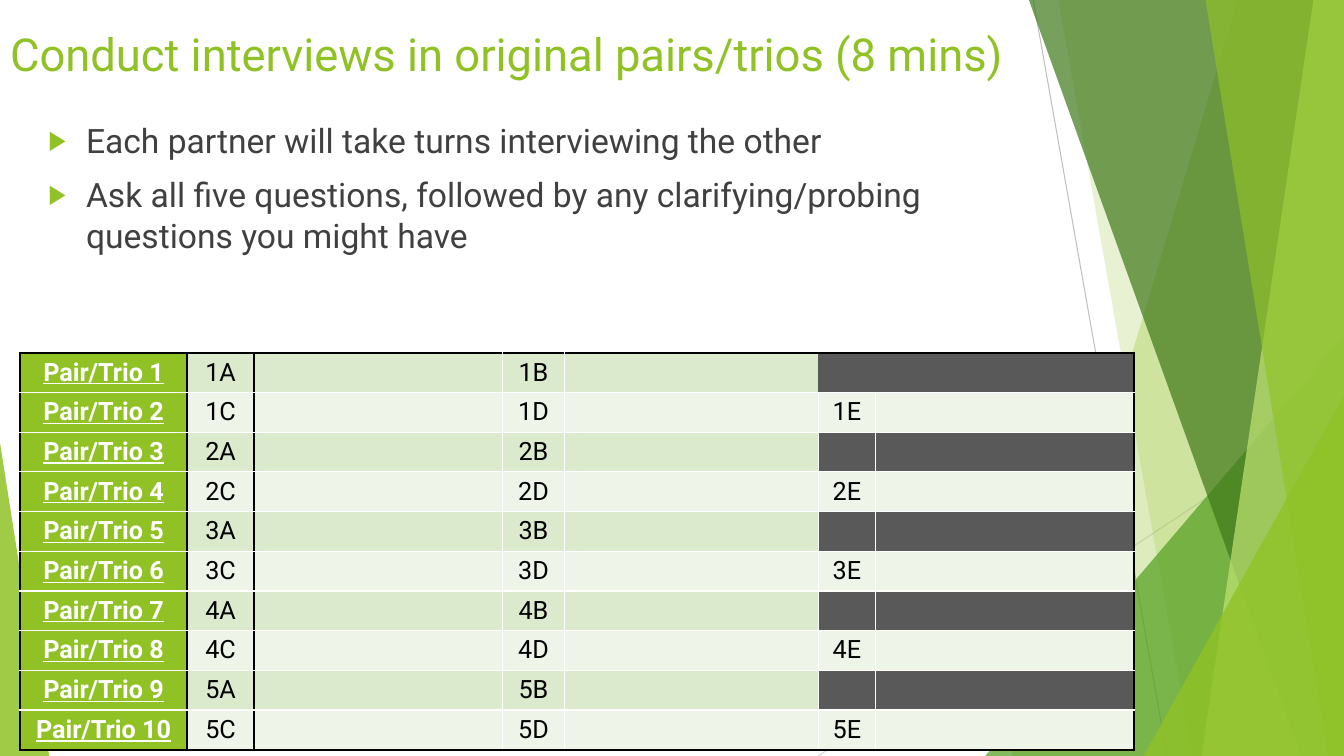
from lxml import etree
from pptx import Presentation
from pptx.dml.color import RGBColor
from pptx.enum.shapes import MSO_CONNECTOR, MSO_SHAPE
from pptx.enum.text import MSO_ANCHOR, MSO_AUTO_SIZE, PP_ALIGN
from pptx.oxml.ns import qn
from pptx.util import Cm, Pt

STRAIGHT = MSO_CONNECTOR.STRAIGHT
TRIANGLE = MSO_SHAPE.ISOSCELES_TRIANGLE
MIDDLE, TOP = MSO_ANCHOR.MIDDLE, MSO_ANCHOR.TOP
NO_FIT = MSO_AUTO_SIZE.NONE
LEFT, CENTER = PP_ALIGN.LEFT, PP_ALIGN.CENTER

FONT = "Roboto"
WIDTH, HEIGHT = 33.87, 19.05
LIME, GREEN, FOREST, PALE = "90C226", "54A021", "3F7819", "C0E474"
WHITE, BLACK, CHARCOAL, BODY_GREY = "FFFFFF", "000000", "595959", "404040"
BANDS = ["DBE9CD", "EEF4E8"]


def rgb(hex_colour):
    return RGBColor.from_string(hex_colour)


def style_runs(paragraph, size, colour, bold=False, underline=False):
    for run in paragraph.runs:
        run.font.name = FONT
        run.font.size = Pt(size)
        run.font.color.rgb = rgb(colour)
        run.font.bold = bold
        run.font.underline = underline


def paint(facet, colour, opacity):
    facet.shadow.inherit = False
    facet.fill.solid()
    facet.fill.fore_color.rgb = rgb(colour)
    tint = facet.fill._xPr.find(qn("a:solidFill"))[0]
    etree.SubElement(tint, qn("a:alpha"), val=str(opacity * 1000))
    facet.line.fill.background()


def add_hairline(slide, start, end, colour):
    hairline = slide.shapes.add_connector(STRAIGHT, *map(Cm, start + end))
    hairline.line.color.rgb = rgb(colour)
    hairline.line.width = Pt(0.75)
    etree.SubElement(hairline._element.spPr, qn("a:effectLst"))


def add_facet(slide, box, top_x, bottom_x, colour, opacity):
    left, top, width, height = box
    right, bottom = left + width, top + height
    outline = slide.shapes.build_freeform(Cm(left + top_x), Cm(top))
    outline.add_line_segments([
        (Cm(right), Cm(top)), (Cm(right), Cm(bottom)), (Cm(left + bottom_x), Cm(bottom))])
    paint(outline.convert_to_shape(), colour, opacity)


def add_corner(slide, left, bottom, width, height, apex, colour, opacity):
    corner = slide.shapes.add_shape(
        TRIANGLE, Cm(left), Cm(bottom - height), Cm(width), Cm(height))
    corner.adjustments[0] = apex
    paint(corner, colour, opacity)


def add_facets(slide, box):
    left, top, width, height = box
    right, bottom = left + width, top + height
    add_hairline(slide, (left + 1.24, top), (left + 4.61, bottom), "BFBFBF")
    add_hairline(slide, (right, top + 10.24), (left - 4.18, bottom), "D9D9D9")
    add_facet(slide, box, 6.39, 0.7, LIME, 30)
    add_facet(slide, box, 1.87, 5.25, LIME, 20)
    add_corner(slide, right - 9.04, bottom, 9.04, 10.59, 1, GREEN, 72)
    add_facet(slide, box, 1.13, 7.99, FOREST, 70)
    add_facet(slide, box, 8.3, 5.48, PALE, 70)
    add_facet(slide, box, 5.58, 8.68, LIME, 65)
    add_corner(slide, right - 5.05, bottom, 5.05, 9.07, 1, LIME, 80)
    add_corner(slide, 0, bottom, 1.24, 7.9, 0, LIME, 85)


def set_title(slide, box, text):
    title = slide.shapes.title
    title.left, title.top, title.width, title.height = map(Cm, box)
    frame = title.text_frame
    frame.text = text
    frame.auto_size = NO_FIT
    frame.vertical_anchor = MIDDLE
    frame.paragraphs[0].alignment = LEFT
    style_runs(frame.paragraphs[0], 32.4, LIME)
    title._element.getparent().append(title._element)


def add_instructions(slide, box, instructions):
    frame = slide.shapes.add_textbox(*map(Cm, box)).text_frame
    frame.word_wrap = True
    frame.auto_size = NO_FIT
    frame.vertical_anchor = TOP
    frame.text = "\n".join(instructions)
    for paragraph in frame.paragraphs:
        paragraph.space_before = Pt(10)
        style_runs(paragraph, 24, BODY_GREY)
        properties = paragraph._p.get_or_add_pPr()
        properties.set("marL", str(Cm(0.95)))
        properties.set("indent", str(Cm(-0.95)))
        bullet_colour = etree.SubElement(properties, qn("a:buClr"))
        etree.SubElement(bullet_colour, qn("a:srgbClr"), val=LIME)
        etree.SubElement(properties, qn("a:buSzPct"), val="80000")
        etree.SubElement(properties, qn("a:buFont"), typeface="Arial")
        etree.SubElement(properties, qn("a:buChar"), char="▶")


def set_border(cell, side, colour):
    points = 1.5 if colour == BLACK else 1
    border = etree.SubElement(
        cell._tc.get_or_add_tcPr(), qn("a:ln" + side), w=str(Pt(points)))
    if colour is None:
        etree.SubElement(border, qn("a:noFill"))
    else:
        stroke = etree.SubElement(border, qn("a:solidFill"))
        etree.SubElement(stroke, qn("a:srgbClr"), val=colour)


def vertical_edge(row, edge):
    if edge in (0, 1, 2, 7):
        return BLACK
    return None if row == 0 and edge >= 5 else WHITE


def fill_cell(cell, text, fill, heading):
    cell.fill.solid()
    cell.fill.fore_color.rgb = rgb(fill)
    paragraph = cell.text_frame.paragraphs[0]
    paragraph.alignment = CENTER
    if text:
        paragraph.text = text
        style_runs(paragraph, 18, WHITE if heading else BLACK, heading, heading)
    else:
        ending = etree.SubElement(paragraph._p, qn("a:endParaRPr"), sz="1800")
        etree.SubElement(ending, qn("a:latin"), typeface=FONT)


def add_roster(slide, left, top, column_widths, row_height, pair_count):
    roster = slide.shapes.add_table(
        pair_count, len(column_widths), Cm(left), Cm(top),
        Cm(sum(column_widths)), Cm(row_height * pair_count)).table
    roster.first_row = roster.horz_banding = False
    for column, width in zip(roster.columns, column_widths):
        column.width = Cm(width)
    for row in range(pair_count):
        roster.rows[row].height = Cm(row_height)
        group, is_trio = row // 2 + 1, row % 2
        labels = {0: f"Pair/Trio {row + 1}"}
        for seat, letter in enumerate("CDE" if is_trio else "AB"):
            labels[2 * seat + 1] = f"{group}{letter}"
        for column in range(len(column_widths)):
            cell = roster.cell(row, column)
            set_border(cell, "L", vertical_edge(row, column))
            set_border(cell, "R", vertical_edge(row, column + 1))
            set_border(cell, "T", BLACK if row == 0 else WHITE)
            set_border(cell, "B", BLACK if row == pair_count - 1 else WHITE)
            if column == 0:
                fill = LIME
            elif column >= 5 and not is_trio:
                fill = CHARCOAL
            else:
                fill = BANDS[is_trio]
            fill_cell(cell, labels.get(column), fill, column == 0)


deck = Presentation()
deck.slide_width, deck.slide_height = Cm(WIDTH), Cm(HEIGHT)
interviews = deck.slides.add_slide(deck.slide_layouts[5])
add_facets(interviews, (24.8, 0, WIDTH - 24.8, HEIGHT))
set_title(interviews, (0, 0.43, 26.24, 1.85),
          "Conduct interviews in original pairs/trios (8 mins)")
add_instructions(interviews, (0.97, 2.9, 25.73, 5.99), [
    "Each partner will take turns interviewing the other",
    "Ask all five questions, followed by any clarifying/probing questions you might have",
])
add_roster(interviews, 0.5, 8.89, [4.22, 1.68, 6.27, 1.55, 6.4, 1.45, 6.5], 1, 10)
deck.save("out.pptx")
